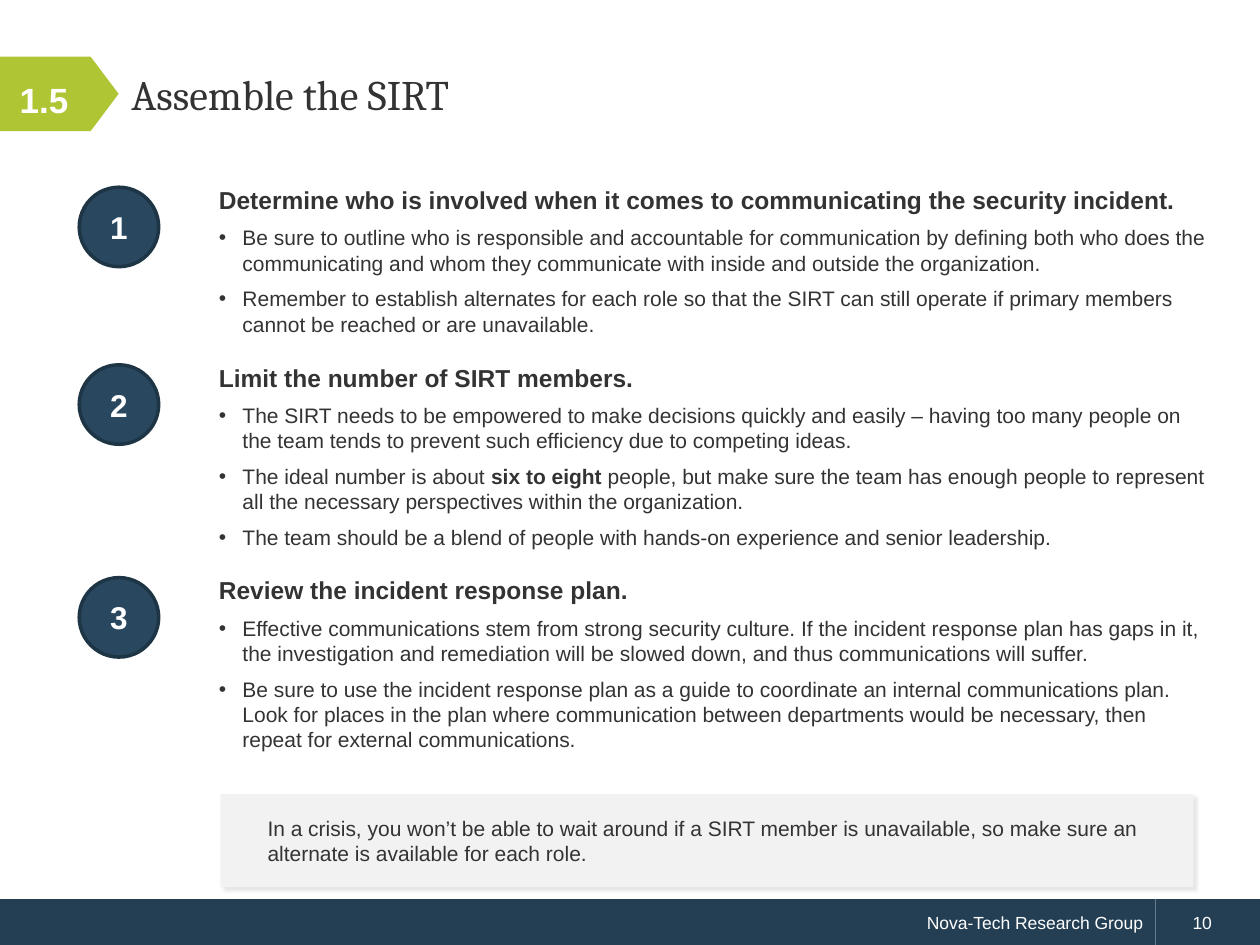
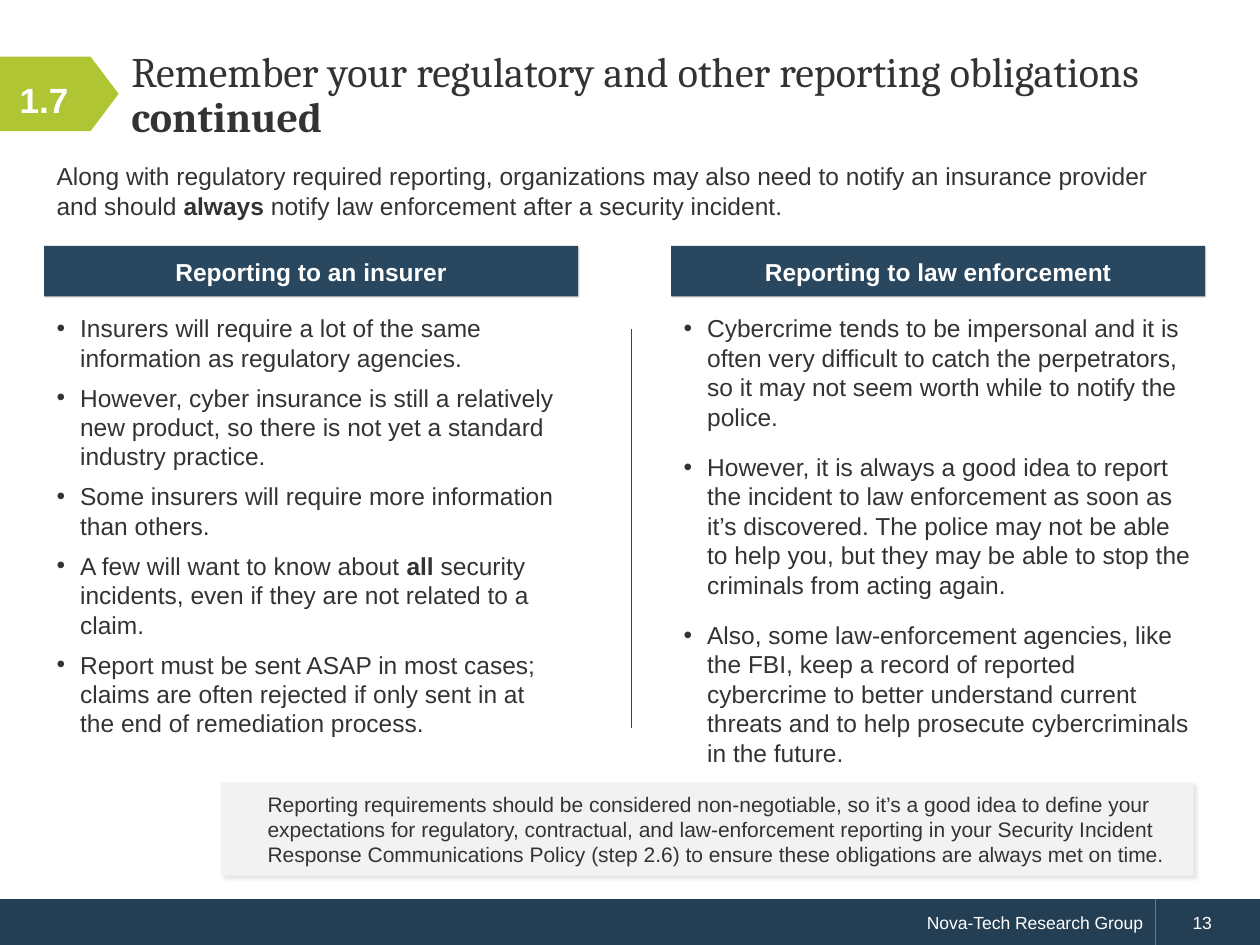
from lxml import etree
from pptx import Presentation
from pptx.dml.color import RGBColor
from pptx.enum.shapes import MSO_CONNECTOR, MSO_SHAPE
from pptx.enum.text import MSO_ANCHOR, PP_ALIGN
from pptx.oxml.ns import qn
from pptx.util import Pt

LEFT, CENTER, RIGHT = PP_ALIGN.LEFT, PP_ALIGN.CENTER, PP_ALIGN.RIGHT
TOP, MIDDLE = MSO_ANCHOR.TOP, MSO_ANCHOR.MIDDLE
RECTANGLE, OVAL, PENTAGON = MSO_SHAPE.RECTANGLE, MSO_SHAPE.OVAL, MSO_SHAPE.PENTAGON
STRAIGHT = MSO_CONNECTOR.STRAIGHT

WHITE, INK, PALE = "FFFFFF", "333333", "F2F2F2"
NAVY, BLUE, RIM, RULE, LIME = "243F54", "29475F", "1E3546", "27465E", "B0C534"
TITLE_ONLY = 5
WIDTH, HEIGHT = 720, 540
BULLET_INDENT = 13.5


def rgb(hex_code):
    return RGBColor.from_string(hex_code)


def assign(target, values):
    for name, value in values.items():
        setattr(target, name, value)


def add_effects(shape):
    return etree.SubElement(shape._element.spPr, qn("a:effectLst"))


def cast_shadow(shape, opacity, blur, distance):
    """Black shadow towards the lower right; blur and distance in points."""
    shadow = etree.SubElement(
        add_effects(shape), qn("a:outerShdw"), blurRad=str(Pt(blur)),
        dist=str(Pt(distance)), dir="2700000", algn="tl", rotWithShape="0")
    black = etree.SubElement(shadow, qn("a:srgbClr"), val="000000")
    etree.SubElement(black, qn("a:alpha"), val=str(opacity * 1000))


class Deck:
    def __init__(self):
        self.presentation = Presentation()
        assign(self.presentation, {"slide_width": Pt(WIDTH), "slide_height": Pt(HEIGHT)})
        self.slide = None

    def add_slide(self, step, title, page):
        layout = self.presentation.slide_layouts[TITLE_ONLY]
        self.slide = self.presentation.slides.add_slide(layout)
        self.footer(page)
        arrow = self.shape((0, 32.4, 67.8, 42.5), LIME, PENTAGON)
        arrow.adjustments[0] = 0.376
        heading = self.slide.shapes.title
        places = ("left", "top", "width", "height")
        assign(heading, dict(zip(places, map(Pt, (67.8, 20.9, 630.8, 67.7)))))
        self.frame(heading, MIDDLE)
        self.fill_text(heading, title, 24, font="Cambria", line_spacing=Pt(26))
        self.text((0, 21.5, 50.4, 70.5), [f"**{step}**"], 20, WHITE,
                  anchor=MIDDLE, alignment=CENTER)

    def footer(self, page):
        top, height, split = 513.8, 26.6, 660.2
        owner = self.shape((0, top, split, height), NAVY)
        self.fill_text(owner, "Nova-Tech Research Group", 10, WHITE, alignment=RIGHT)
        number = self.shape((split, top, WIDTH - split, height), NAVY)
        self.fill_text(number, str(page), 10, WHITE, margin=14.2)

    def frame(self, shape, anchor):
        assign(shape.text_frame, {"word_wrap": True, "vertical_anchor": anchor})

    def shape(self, box, fill, kind=RECTANGLE, outline=None):
        shape = self.slide.shapes.add_shape(kind, *map(Pt, box))
        shape.fill.solid()
        shape.fill.fore_color.rgb = rgb(fill)
        if outline:
            shape.line.color.rgb = rgb(outline)
            shape.line.width = Pt(2)
        else:
            shape.line.fill.background()
        shape.shadow.inherit = False
        self.frame(shape, MIDDLE)
        return shape

    def shadowed(self, box, fill, opacity, blur, distance):
        shape = self.shape(box, fill)
        shape.shadow.inherit = True
        cast_shadow(shape, opacity, blur, distance)
        return shape

    def fill_text(self, shape, content, size, color=INK, font="Arial", margin=0,
                  bullet=False, **spacing):
        """Fill the last paragraph; **double stars** mark bold parts."""
        paragraph = shape.text_frame.paragraphs[-1]
        assign(paragraph, {"alignment": LEFT, **spacing})
        properties = paragraph._p.get_or_add_pPr()
        if bullet:
            properties.set("marL", str(Pt(BULLET_INDENT)))
            properties.set("indent", str(-Pt(BULLET_INDENT)))
            etree.SubElement(properties, qn("a:buFont"), typeface="Arial")
            etree.SubElement(properties, qn("a:buChar"), char="•")
        elif margin:
            properties.set("marL", str(Pt(margin)))
        for index, part in enumerate(content.split("**")):
            if part:
                run = paragraph.add_run()
                run.text = part
                assign(run.font, {"size": Pt(size), "name": font, "bold": index % 2 == 1})
                run.font.color.rgb = rgb(color)

    def text(self, box, paragraphs, size, color=INK, anchor=TOP, heading=None, **style):
        """Text box with an optional bold heading above its paragraphs."""
        area = self.slide.shapes.add_textbox(*map(Pt, box))
        self.frame(area, anchor)
        if heading:
            self.fill_text(area, f"**{heading}**", 14, color, space_after=Pt(6))
        for index, content in enumerate(paragraphs):
            if heading or index:
                area.text_frame.add_paragraph()
            self.fill_text(area, content, size, color, **style)

    def numbered_step(self, number, top, height, heading, bullets):
        circle = self.shape((45.3, top + 4.8, 45.4, 45.4), BLUE, OVAL, RIM)
        self.fill_text(circle, f"**{number}**", 18, WHITE, alignment=CENTER)
        self.text((118, top, 581, height), bullets, 12, heading=heading,
                  bullet=True, space_after=Pt(6))

    def column(self, left, heading, bullets, gap):
        width = 305.2
        header = self.shadowed((left, 140.6, width, 28.8), BLUE, 14, 0, 1)
        self.fill_text(header, f"**{heading}**", 14, WHITE, alignment=CENTER)
        self.text((left, 175.5, width, 260), bullets, 14, bullet=True,
                  space_after=Pt(gap))

    def divider(self, x, top, bottom):
        line = self.slide.shapes.add_connector(STRAIGHT, *map(Pt, (x, top, x, bottom)))
        line.line.color.rgb = rgb(RULE)
        line.line.width = Pt(0.75)
        add_effects(line)

    def callout(self, top, content):
        panel = self.shadowed((126, top, 556, 53.2), PALE, 10, 2, 2)
        self.fill_text(panel, content, 12, margin=19.8)


SIRT_STEPS = [
    (102.2, 94.3, "Determine who is involved when it comes to communicating the security incident.", [
        "Be sure to outline who is responsible and accountable for communication by defining both "
        "who does the communicating and whom they communicate with inside and outside the organization.",
        "Remember to establish alternates for each role so that the SIRT can still operate if "
        "primary members cannot be reached or are unavailable.",
    ]),
    (203.7, 115.2, "Limit the number of SIRT members.", [
        "The SIRT needs to be empowered to make decisions quickly and easily – having too many "
        "people on the team tends to prevent such efficiency due to competing ideas.",
        "The ideal number is about **six to eight** people, but make sure the team has enough "
        "people to represent all the necessary perspectives within the organization.",
        "The team should be a blend of people with hands-on experience and senior leadership.",
    ]),
    (325.3, 108.7, "Review the incident response plan.", [
        "Effective communications stem from strong security culture. If the incident response plan "
        "has gaps in it, the investigation and remediation will be slowed down, and thus "
        "communications will suffer.",
        "Be sure to use the incident response plan as a guide to coordinate an internal "
        "communications plan. Look for places in the plan where communication between departments "
        "would be necessary, then repeat for external communications.",
    ]),
]

INSURER_POINTS = [
    "Insurers will require a lot of the same information as regulatory agencies.",
    "However, cyber insurance is still a relatively new product, so there is not yet a standard "
    "industry practice.",
    "Some insurers will require more information than others.",
    "A few will want to know about **all** security incidents, even if they are not related to a claim.",
    "Report must be sent ASAP in most cases; claims are often rejected if only sent in at the end "
    "of remediation process.",
]

POLICE_POINTS = [
    "Cybercrime tends to be impersonal and it is often very difficult to catch the perpetrators, "
    "so it may not seem worth while to notify the police.",
    "However, it is always a good idea to report the incident to law enforcement as soon as it’s "
    "discovered. The police may not be able to help you, but they may be able to stop the "
    "criminals from acting again.",
    "Also, some law-enforcement agencies, like the FBI, keep a record of reported cybercrime to "
    "better understand current threats and to help prosecute cybercriminals in the future.",
]


def main():
    deck = Deck()

    deck.add_slide("1.5", "Assemble the SIRT", 10)
    for number, step in enumerate(SIRT_STEPS, start=1):
        deck.numbered_step(number, *step)
    deck.callout(453.8, "In a crisis, you won’t be able to wait around if a SIRT member is "
                 "unavailable, so make sure an alternate is available for each role.")

    deck.add_slide("1.7", "Remember your regulatory and other reporting obligations** continued**", 13)
    deck.text((25.2, 88.6, 663, 41), [
        "Along with regulatory required reporting, organizations may also need to notify an "
        "insurance provider and should **always** notify law enforcement after a security incident.",
    ], 14)
    deck.divider(360.8, 188, 416)
    deck.column(25.2, "Reporting to an insurer", INSURER_POINTS, 6)
    deck.column(383.5, "Reporting to law enforcement", POLICE_POINTS, 12)
    deck.callout(447.2, "Reporting requirements should be considered non-negotiable, so it’s a good "
                 "idea to define your expectations for regulatory, contractual, and law-enforcement "
                 "reporting in your Security Incident Response Communications Policy (step 2.6) to "
                 "ensure these obligations are always met on time.")

    deck.presentation.save("out.pptx")


if __name__ == "__main__":
    main()
